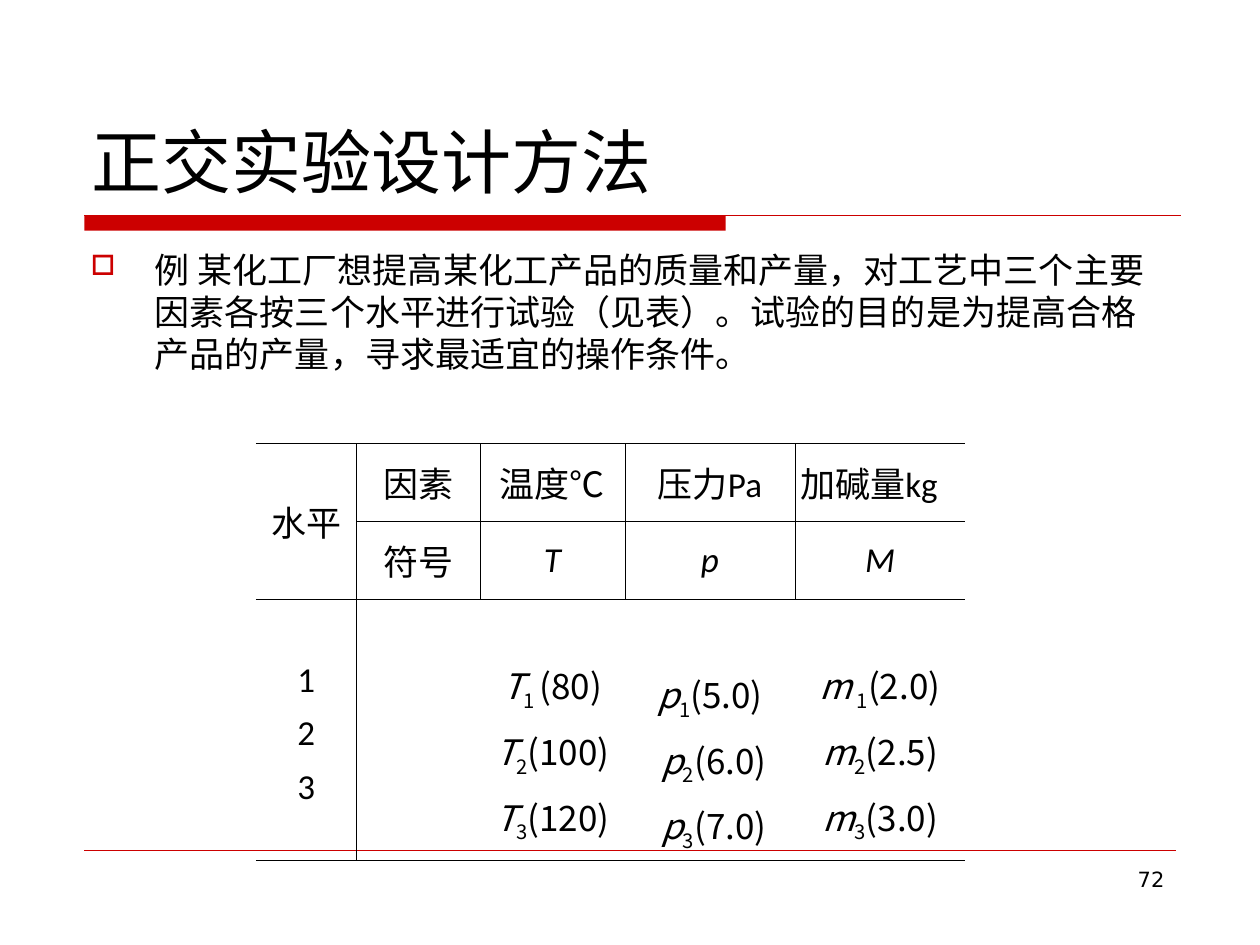
from dataclasses import dataclass

from lxml.etree import SubElement
from pptx import Presentation
from pptx.dml.color import RGBColor
from pptx.enum.shapes import MSO_CONNECTOR, MSO_SHAPE
from pptx.enum.text import MSO_ANCHOR, PP_ALIGN
from pptx.oxml.ns import qn
from pptx.util import Inches, Pt


@dataclass(frozen=True)
class Theme:
    ink: str = "000000"
    accent: str = "CC0000"
    font: str = "DejaVu Sans"
    table_font: str = "Calibri"
    value_font: str = "Noto Sans CJK SC"
    title_size: float = 40
    body_size: float = 20
    number_size: float = 12
    border: float = 0.45


THEME = Theme()
COLUMNS = (0.8, 0.98, 1.15, 1.35, 1.35)
ROWS = (0.62, 0.62, 2.07)
HEADINGS = ("水平", "因素", "温度℃", "压力Pa", "加碱量kg")
SYMBOLS = ("符号", "T", "p", "M")
LEVELS = ("1", "2", "3")
VALUES = (
    (0.47, (("T", "1 ", "(80)"), ("T", "2", "(100)"), ("T", "3", "(120)"))),
    (0.54, (("p", "1", "(5.0)"), (" p", "2", "(6.0)"), (" p", "3", "(7.0)"))),
    (0.47, (("m", " 1", "(2.0)"), ("m", "2", "(2.5)"), ("m", "3", "(3.0)"))),
)


def add_run(paragraph, text, size, font, italic=False, subscript=False):
    run = paragraph.add_run()
    run.text = text
    run.font.size = Pt(size)
    run.font.name = font
    run.font.italic = italic
    run.font.color.rgb = RGBColor.from_string(THEME.ink)
    if subscript:
        run.font._element.set("baseline", "-25000")


def add_text(slide, box, text, size, anchor=MSO_ANCHOR.TOP, align=PP_ALIGN.LEFT):
    frame = slide.shapes.add_textbox(*map(Inches, box)).text_frame
    frame.word_wrap = True
    frame.vertical_anchor = anchor
    paragraph = frame.paragraphs[0]
    paragraph.alignment = align
    add_run(paragraph, text, size, THEME.font)
    return paragraph


def add_bullet(paragraph, symbol, indent):
    properties = paragraph._p.get_or_add_pPr()
    properties.set("marL", str(Inches(indent)))
    properties.set("indent", str(-Inches(indent)))
    color = SubElement(properties, qn("a:buClr"))
    SubElement(color, qn("a:srgbClr"), val=THEME.accent)
    SubElement(properties, qn("a:buSzPct"), val="80000")
    SubElement(properties, qn("a:buChar"), char=symbol)


def add_rule(slide, left, right, y, width):
    rule = slide.shapes.add_connector(
        MSO_CONNECTOR.STRAIGHT, Inches(left), Inches(y), Inches(right), Inches(y))
    rule.line.color.rgb = RGBColor.from_string(THEME.accent)
    rule.line.width = Pt(width)
    SubElement(rule._element.spPr, qn("a:effectLst"))


def add_bar(slide, box):
    bar = slide.shapes.add_shape(MSO_SHAPE.RECTANGLE, *map(Inches, box))
    bar.shadow.inherit = False
    bar.fill.solid()
    bar.fill.fore_color.rgb = RGBColor.from_string(THEME.accent)
    bar.line.fill.background()


def set_borders(cell, sides):
    properties = cell._tc.get_or_add_tcPr()
    for side in "LRTB":
        line = SubElement(properties, qn(f"a:ln{side}"), w=str(Pt(THEME.border)))
        if side in sides:
            fill = SubElement(line, qn("a:solidFill"))
            SubElement(fill, qn("a:srgbClr"), val=THEME.ink)
        else:
            SubElement(line, qn("a:noFill"))


def format_cell(cell, row, column):
    sides = "TB"
    if column and (row < 2 or column == 1):
        sides += "L"
    if column == 0 or (row < 2 and column < len(COLUMNS) - 1):
        sides += "R"
    set_borders(cell, sides)
    cell.fill.background()
    cell.margin_left = cell.margin_right = Inches(0.04)
    cell.margin_top = cell.margin_bottom = Inches(0.05)
    cell.vertical_anchor = MSO_ANCHOR.MIDDLE if row < 2 else MSO_ANCHOR.TOP


def next_paragraph(frame, index, align=PP_ALIGN.CENTER):
    paragraph = frame.add_paragraph() if index else frame.paragraphs[0]
    paragraph.alignment = align
    paragraph.space_after = Pt(6)
    return paragraph


def fill_label(cell, text, italic=False, align=PP_ALIGN.CENTER):
    paragraph = next_paragraph(cell.text_frame, 0, align)
    add_run(paragraph, text, THEME.body_size, THEME.table_font, italic)


def fill_levels(cell, levels):
    cell.margin_top = Inches(0.47)
    for index, level in enumerate(levels):
        paragraph = next_paragraph(cell.text_frame, index)
        add_run(paragraph, level, THEME.body_size, THEME.table_font)


def fill_values(cell, top, values):
    cell.margin_top = Inches(top)
    for index, (symbol, level, value) in enumerate(values):
        paragraph = next_paragraph(cell.text_frame, index)
        add_run(paragraph, symbol, THEME.body_size, THEME.value_font, italic=True)
        add_run(paragraph, level, THEME.body_size, THEME.value_font, subscript=True)
        add_run(paragraph, value, THEME.body_size, THEME.value_font)


def add_factor_table(slide, left, top):
    table = slide.shapes.add_table(
        len(ROWS), len(COLUMNS), Inches(left), Inches(top),
        Inches(sum(COLUMNS)), Inches(sum(ROWS))).table
    table.first_row = table.horz_banding = False
    for column, width in zip(table.columns, COLUMNS):
        column.width = Inches(width)
    for row, height in zip(table.rows, ROWS):
        row.height = Inches(height)
    for row in range(len(ROWS)):
        for column in range(len(COLUMNS)):
            format_cell(table.cell(row, column), row, column)
    table.cell(0, 0).merge(table.cell(1, 0))

    for column, heading in enumerate(HEADINGS):
        last = column == len(HEADINGS) - 1
        align = PP_ALIGN.JUSTIFY if last else PP_ALIGN.CENTER
        fill_label(table.cell(0, column), heading, align=align)
    for column, symbol in enumerate(SYMBOLS, 1):
        fill_label(table.cell(1, column), symbol, italic=column > 1)
    fill_levels(table.cell(2, 0), LEVELS)
    for column, (margin, values) in enumerate(VALUES, 2):
        fill_values(table.cell(2, column), margin, values)


def main():
    presentation = Presentation()
    presentation.slide_width = Inches(10)
    presentation.slide_height = Inches(7.5)
    slide = presentation.slides.add_slide(presentation.slide_layouts[6])

    add_bar(slide, (0.67, 1.71, 5.09, 0.12))
    add_rule(slide, 0.67, 9.37, 1.71, 0.75)
    add_rule(slide, 0.67, 9.33, 6.75, 0.25)
    add_text(slide, (0.63, 0.33, 8.75, 1.33), "正交实验设计方法",
             THEME.title_size, anchor=MSO_ANCHOR.BOTTOM)
    example = add_text(
        slide, (0.62, 1.92, 8.75, 4.67),
        "例 某化工厂想提高某化工产品的质量和产量，对工艺中三个主要因素各按三个水平进行试验"
        "（见表）。试验的目的是为提高合格产品的产量，寻求最适宜的操作条件。",
        THEME.body_size)
    add_bullet(example, "□", 0.51)
    add_text(slide, (7.17, 6.83, 2.17, 0.52), "72",
             THEME.number_size, align=PP_ALIGN.RIGHT)
    add_factor_table(slide, 2.03, 3.52)
    presentation.save("out.pptx")


if __name__ == "__main__":
    main()
